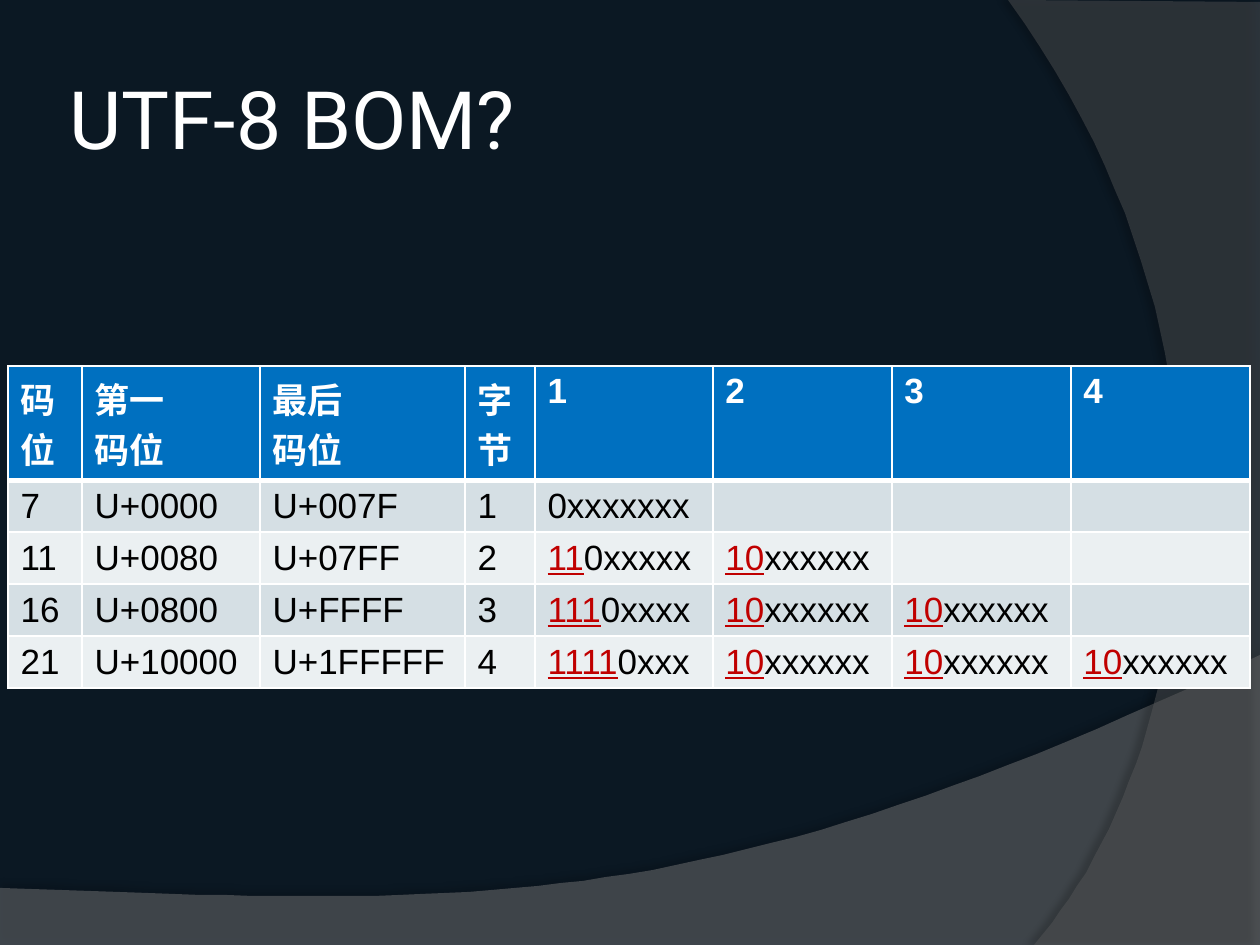
import pptx
import pptx.dml.color
import pptx.enum.text
import pptx.oxml
import pptx.oxml.ns
import pptx.util

EMU_PER_PIXEL = 914400 / 126
WHITE, BLACK, RED, BLUE = "FFFFFF", "000000", "C00000", "0070C0"
BANDS = ("D5DFE4", "EBF0F2")
NAMESPACE = pptx.oxml.ns.nsdecls("a")
COLUMN_WIDTHS = (74, 178, 205, 70, 178, 179, 179, 179)
HEADINGS = ("码\n位", "第一\n码位", "最后\n码位", "字\n节", "1", "2", "3", "4")
CONTINUATION = "10|xxxxxx"
ENCODINGS = (
    ("7", "U+0000", "U+007F", "0xxxxxxx"),
    ("11", "U+0080", "U+07FF", "11|0xxxxx"),
    ("16", "U+0800", "U+FFFF", "111|0xxxx"),
    ("21", "U+10000", "U+1FFFFF", "1111|0xxx"),
)


def pixels(length):
    """Turn a length in pixels into EMU."""
    return pptx.util.Emu(round(length * EMU_PER_PIXEL))


def color(value):
    """Turn a hex string into a colour."""
    return pptx.dml.color.RGBColor.from_string(value)


def write_text(frame, text, size, font="Arial", fill=BLACK, bold=False):
    """Write one paragraph per line, with the part before a bar marked red."""
    for index, line in enumerate(text.split("\n")):
        paragraph = frame.add_paragraph() if index else frame.paragraphs[0]
        paragraph.alignment = pptx.enum.text.PP_ALIGN.LEFT
        marked, _, plain = line.rpartition("|")
        for part, part_fill in ((marked, RED), (plain, fill)):
            if part:
                run = paragraph.add_run()
                run.text = part
                run.font.name = font
                run.font.size = pptx.util.Pt(size)
                run.font.bold = bold
                run.font.underline = part_fill == RED
                run.font.color.rgb = color(part_fill)


def bezier(start, first, second, end, steps=48):
    """Return points along a cubic curve, without its start."""
    points = []
    for step in range(1, steps + 1):
        t = step / steps
        weights = ((1 - t) ** 3, 3 * t * (1 - t) ** 2, 3 * t * t * (1 - t), t ** 3)
        points.append(tuple(
            sum(weight * value for weight, value in zip(weights, values))
            for values in zip(start, first, second, end)))
    return points


def add_swoosh(slide, points, fill, opacity, shadow_opacity, blur, distance, direction):
    """Draw a translucent outline with a soft shadow behind the title."""
    builder = slide.shapes.build_freeform(*points[0], scale=EMU_PER_PIXEL)
    builder.add_line_segments(points[1:], close=True)
    shape = builder.convert_to_shape()
    shape.fill.solid()
    shape.fill.fore_color.rgb = color(fill)
    shape.line.fill.background()
    properties = shape.element.spPr
    fill_color = properties.find(".//" + pptx.oxml.ns.qn("a:srgbClr"))
    fill_color.append(pptx.oxml.parse_xml(
        f'<a:alpha {NAMESPACE} val="{opacity * 1000}"/>'))
    properties.append(pptx.oxml.parse_xml(
        f'<a:effectLst {NAMESPACE}><a:outerShdw blurRad="{pptx.util.Pt(blur)}" '
        f'dist="{pptx.util.Pt(distance)}" dir="{direction * 60000}" algn="ctr" '
        f'rotWithShape="0"><a:srgbClr val="{BLACK}">'
        f'<a:alpha val="{shadow_opacity * 1000}"/></a:srgbClr>'
        '</a:outerShdw></a:effectLst>'))
    return shape


def add_backdrop(slide, width, height):
    """Fill the background and draw the two curved bands."""
    slide.background.fill.solid()
    slide.background.fill.fore_color.rgb = color("0B1823")
    wave_start = (width, height - 290)
    wave = [(0, height), (width, height), wave_start]
    wave += bezier(wave_start, (704, height - 26), (493, height - 39), (0, height - 57))
    arc_start = (width - 226, height)
    arc = [(width, 2), (width, height), arc_start]
    arc += bezier(arc_start, (width - 82, 780), (width + 23, 378), (width - 252, 0))
    shapes = (
        add_swoosh(slide, wave, "7F7F7F", 45, 35, 4, 3.5, 270),
        add_swoosh(slide, arc, "5E5E5E", 40, 45, 4, 4, 180),
    )
    title = slide.shapes.title.element
    for shape in shapes:
        title.addprevious(shape.element)


def place_title(slide, text, left, top, width, height):
    """Move and format the title placeholder."""
    title = slide.shapes.title
    title.left, title.top = pixels(left), pixels(top)
    title.width, title.height = pixels(width), pixels(height)
    frame = title.text_frame
    frame.margin_left = frame.margin_right = pptx.util.Inches(0.05)
    frame.vertical_anchor = pptx.enum.text.MSO_ANCHOR.MIDDLE
    write_text(frame, text, 46, font="Roboto", fill=WHITE)


def set_borders(cell, top=1, bottom=1):
    """Give a cell white borders with the given widths in points."""
    properties = cell._tc.get_or_add_tcPr()
    widths = (("L", 1), ("R", 1), ("T", top), ("B", bottom))
    for index, (side, width) in enumerate(widths):
        properties.insert(index, pptx.oxml.parse_xml(
            f'<a:ln{side} {NAMESPACE} w="{pptx.util.Pt(width)}"><a:solidFill>'
            f'<a:srgbClr val="{WHITE}"/></a:solidFill></a:ln{side}>'))


def add_encoding_table(slide, left, top, header_height, row_height):
    """Add the table of code ranges and their byte patterns."""
    rows = [HEADINGS]
    for count, (bits, first, last, lead) in enumerate(ENCODINGS, 1):
        row = [bits, first, last, str(count), lead] + [CONTINUATION] * (count - 1)
        rows.append(row + [""] * (len(HEADINGS) - len(row)))
    height = header_height + row_height * len(ENCODINGS)
    table = slide.shapes.add_table(
        len(rows), len(HEADINGS), pixels(left), pixels(top),
        pixels(sum(COLUMN_WIDTHS)), pixels(height)).table
    for column, width in zip(table.columns, COLUMN_WIDTHS):
        column.width = pixels(width)
    for row_index, row in enumerate(rows):
        is_header = row_index == 0
        table.rows[row_index].height = pixels(header_height if is_header else row_height)
        for column_index, text in enumerate(row):
            cell = table.cell(row_index, column_index)
            cell.fill.solid()
            cell.fill.fore_color.rgb = color(BLUE if is_header else BANDS[(row_index - 1) % 2])
            set_borders(cell, top=3 if row_index == 1 else 1, bottom=3 if is_header else 1)
            write_text(cell.text_frame, text, 20, fill=WHITE if is_header else BLACK, bold=is_header)


def main():
    """Build and save the slide."""
    width, height = 1260, 945
    presentation = pptx.Presentation()
    presentation.slide_width, presentation.slide_height = pixels(width), pixels(height)
    slide = presentation.slides.add_slide(presentation.slide_layouts[5])
    add_backdrop(slide, width, height)
    place_title(slide, "UTF-8 BOM?", 63, 38, 1029, 158)
    add_encoding_table(slide, 8, 366, 114, 52)
    presentation.save("out.pptx")


main()
